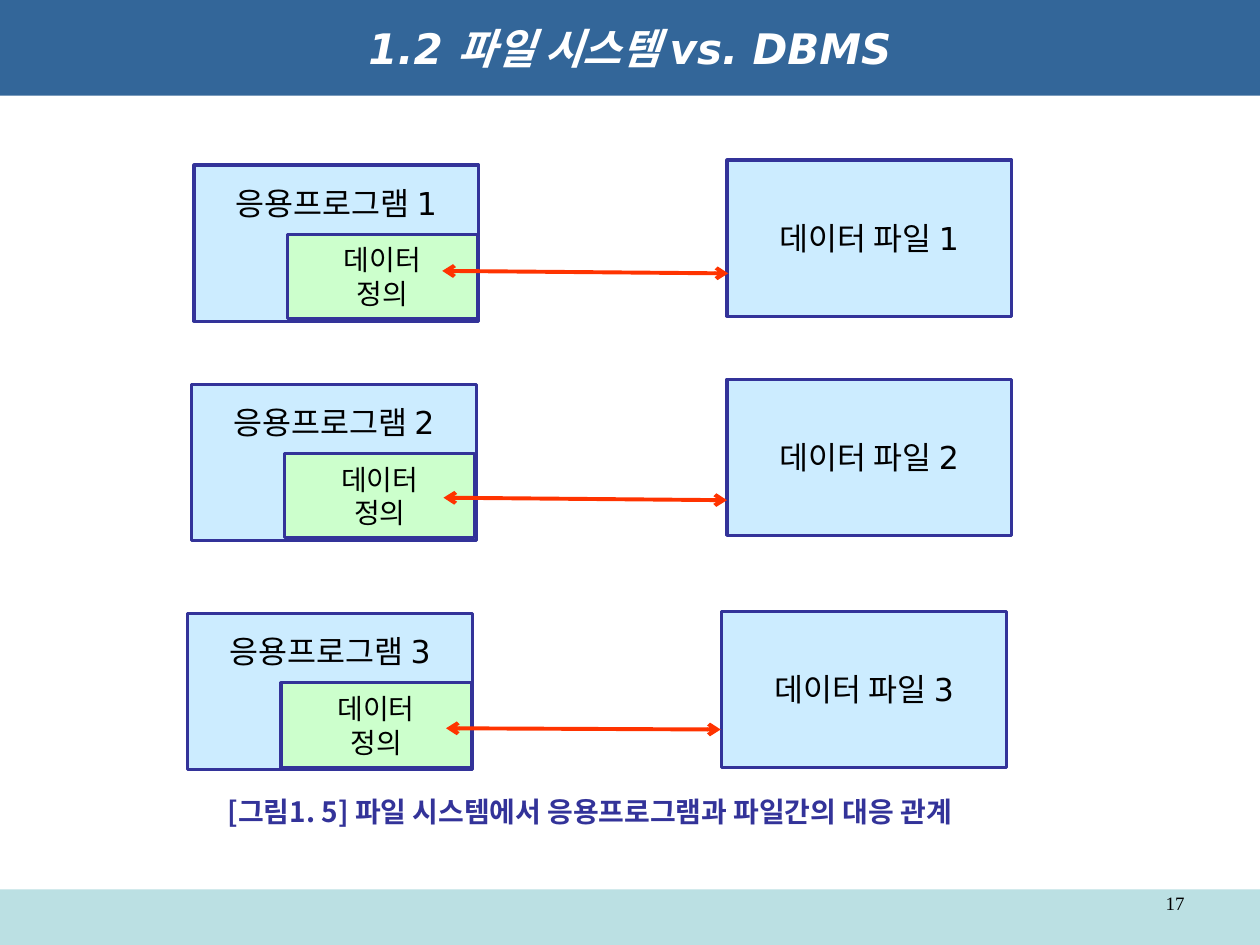
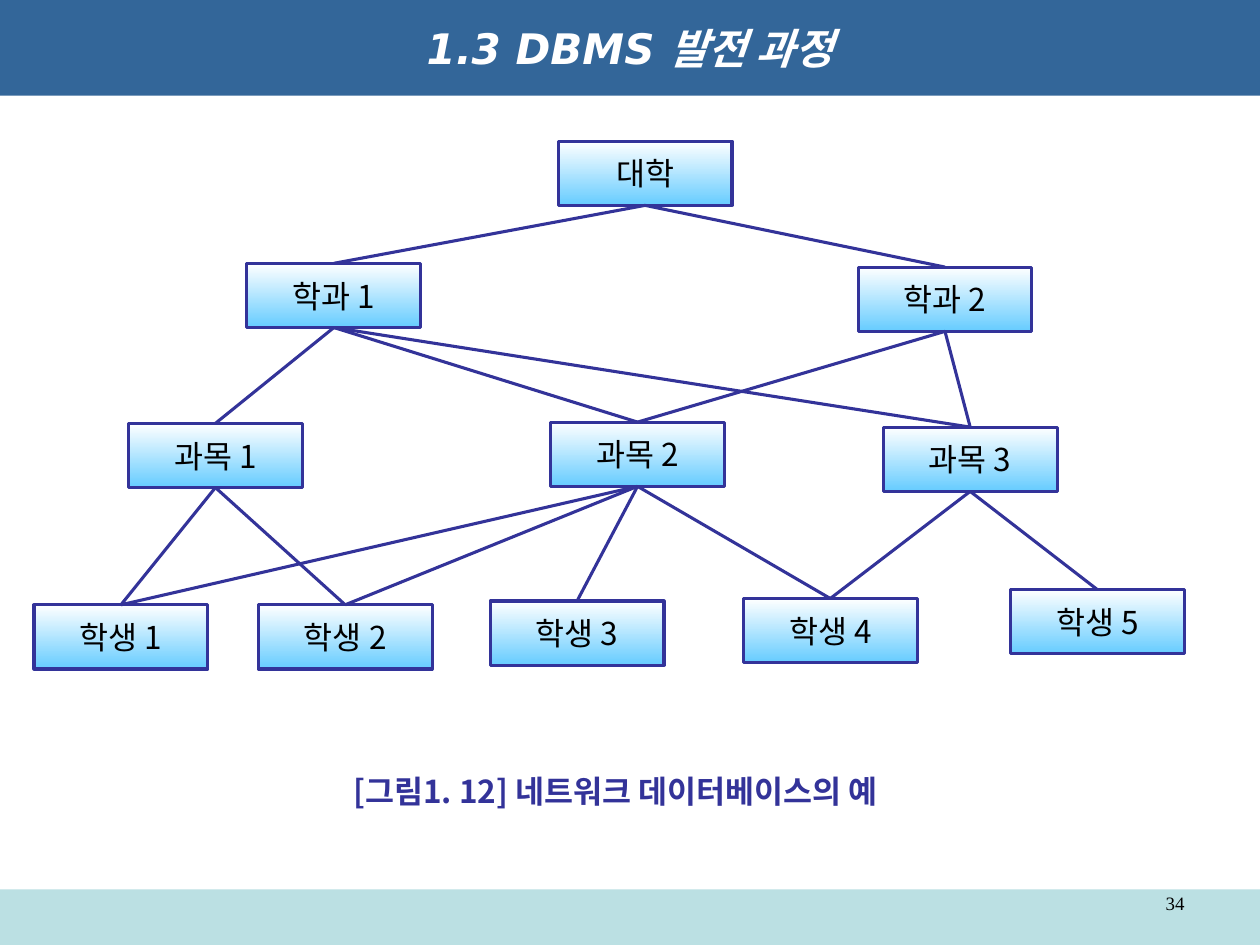
from lxml import etree
from pptx import Presentation
from pptx import util as u
from pptx.dml.color import RGBColor
from pptx.enum import shapes, text
from pptx.oxml import ns

TITLE_BLUE = RGBColor(0x33, 0x66, 0x99)
FOOTER_TEAL = RGBColor(0xBB, 0xE0, 0xE3)
NAVY = RGBColor(0x33, 0x33, 0x99)
PALE_BLUE = RGBColor(0xCC, 0xEC, 0xFF)
PALE_GREEN = RGBColor(0xCC, 0xFF, 0xCC)
SKY_BLUE = RGBColor(0x66, 0xCC, 0xFF)
RED = RGBColor(0xFF, 0x33, 0x00)
WHITE = RGBColor(0xFF, 0xFF, 0xFF)
BLACK = RGBColor(0x00, 0x00, 0x00)

SANS = "DejaVu Sans"
KOREAN = "Noto Sans CJK KR"
NODE_FONT = "Noto Sans CJK JP"
CENTER = text.PP_ALIGN.CENTER
MIDDLE = text.MSO_ANCHOR.MIDDLE
TOP = text.MSO_ANCHOR.TOP


def add_box(slide, place, wording, size, font=SANS, color=BLACK, fill=None, outline=None,
            align=CENTER, anchor=MIDDLE, bold=False, italic=False, wrap=True, inset=(0.1, 0.05)):
    """Add a text box, or a rectangle when a fill colour is given."""
    place = [u.Inches(length) for length in place]
    if fill is None:
        shape = slide.shapes.add_textbox(*place)
    else:
        shape = slide.shapes.add_shape(shapes.MSO_SHAPE.RECTANGLE, *place)
        shape.shadow.inherit = False
        shape.fill.solid()
        shape.fill.fore_color.rgb = fill
        if outline is None:
            shape.line.fill.background()
        else:
            shape.line.color.rgb = outline
            shape.line.width = u.Pt(1.75)
    frame = shape.text_frame
    frame.text = wording
    frame.word_wrap = wrap
    frame.vertical_anchor = anchor
    frame.margin_left = frame.margin_right = u.Inches(inset[0])
    frame.margin_top = frame.margin_bottom = u.Inches(inset[1])
    for paragraph in frame.paragraphs:
        paragraph.alignment = align
        for run in paragraph.runs:
            run.font.size = u.Pt(size)
            run.font.name = font
            run.font.bold = bold
            run.font.italic = italic
            run.font.color.rgb = color
            east_asian = etree.SubElement(run.font._element, ns.qn("a:ea"))
            east_asian.set("typeface", KOREAN if font == SANS else font)
    return shape


def add_line(slide, start, end, color, width, arrows=False):
    ends = [u.Inches(length) for length in (*start, *end)]
    line = slide.shapes.add_connector(shapes.MSO_CONNECTOR.STRAIGHT, *ends)
    line.line.color.rgb = color
    line.line.width = u.Pt(width)
    if arrows:
        for tag in ("a:headEnd", "a:tailEnd"):
            etree.SubElement(line.line._get_or_add_ln(), ns.qn(tag)).set("type", "arrow")
    etree.SubElement(line._element.spPr, ns.qn("a:effectLst"))
    return line


presentation = Presentation()
presentation.slide_width = u.Inches(10)
presentation.slide_height = u.Inches(7.5)

# Shared frame: footer band, title band, page number
slides = []
for title, number in (("1.2 파일 시스템 vs. DBMS", "17"), ("1.3 DBMS 발전 과정", "34")):
    slide = presentation.slides.add_slide(presentation.slide_layouts[6])
    add_box(slide, (0, 7.06, 10, 0.44), "", 12, fill=FOOTER_TEAL)
    add_box(slide, (0, 0, 10, 0.76), title, 24, color=WHITE, fill=TITLE_BLUE,
            bold=True, italic=True)
    page_number = add_box(slide, (7.17, 7.06, 2.33, 0.29), number, 10.8,
                          font="Times New Roman", align=text.PP_ALIGN.RIGHT, anchor=TOP)
    page_number.text_frame.paragraphs[0].line_spacing = 0.8
    slides.append(slide)
file_slide, network_slide = slides

# Slide 1: each program with its data definition, and its data file
rows = [  # program left and top, file left and top
    (1.54, 1.31, 5.77, 1.27),
    (1.52, 3.05, 5.77, 3.01),
    (1.49, 4.87, 5.73, 4.85),
]
for number, (left, top, file_left, file_top) in enumerate(rows, 1):
    add_box(file_slide, (left, top, 2.26, 1.24), f"응용프로그램 {number}", 18,
            fill=PALE_BLUE, outline=NAVY, anchor=TOP, wrap=False, inset=(0.16, 0.15))
    add_box(file_slide, (left + 0.74, top + 0.55, 1.51, 0.67), "데이터\n정의", 16,
            fill=PALE_GREEN, outline=NAVY, wrap=False, inset=(0.16, 0.16))
    add_box(file_slide, (file_left, file_top, 2.26, 1.24), f"데이터 파일 {number}", 18,
            fill=PALE_BLUE, outline=NAVY, wrap=False, inset=(0.16, 0.16))

# Two-way arrows from definition to file
for start, end in (((3.51, 2.15), (5.78, 2.17)),
                   ((3.52, 3.95), (5.77, 3.97)),
                   ((3.54, 5.78), (5.72, 5.79))):
    add_line(file_slide, start, end, RED, 2.25, arrows=True)

add_box(file_slide, (1.71, 6.26, 6.64, 0.37),
        "[그림1. 5] 파일 시스템에서 응용프로그램과 파일간의 대응 관계", 16, font=KOREAN,
        color=NAVY, align=text.PP_ALIGN.JUSTIFY, anchor=TOP, bold=True)

# Slide 2: nodes of the network
node_places = {
    "대학": (4.43, 1.12),
    "학과 1": (1.96, 2.09), "학과 2": (6.81, 2.12),
    "과목 1": (1.02, 3.36), "과목 2": (4.37, 3.35), "과목 3": (7.01, 3.39),
    "학생 1": (0.27, 4.8), "학생 2": (2.05, 4.8), "학생 3": (3.89, 4.77),
    "학생 4": (5.9, 4.75), "학생 5": (8.02, 4.68),
}
nodes = {}
for name, place in node_places.items():
    node = add_box(network_slide, (*place, 1.38, 0.51), name, 18, font=NODE_FONT,
                   fill=WHITE, outline=NAVY, wrap=False, inset=(0.16, 0.05))
    node.fill.gradient()
    node.fill.gradient_angle = 270
    for stop, position, color in zip(node.fill.gradient_stops, (0, 1), (WHITE, SKY_BLUE)):
        stop.position = position
        stop.color.rgb = color
    nodes[name] = node

# Links from the bottom of a parent to the top of each child
children = {
    "대학": ("학과 1", "학과 2"),
    "학과 1": ("과목 1", "과목 2", "과목 3"),
    "학과 2": ("과목 2", "과목 3"),
    "과목 1": ("학생 1", "학생 2"),
    "과목 2": ("학생 1", "학생 2", "학생 3", "학생 4"),
    "과목 3": ("학생 4", "학생 5"),
}
for parent, names in children.items():
    for child in names:
        link = add_line(network_slide, (0, 0), (0, 0), NAVY, 1.75)
        link.begin_connect(nodes[parent], 2)
        link.end_connect(nodes[child], 0)

add_box(network_slide, (2.3, 6.08, 5.17, 0.4), "[그림1. 12] 네트워크 데이터베이스의 예", 18,
        font=KOREAN, color=NAVY, anchor=TOP, bold=True)

presentation.save("out.pptx")
